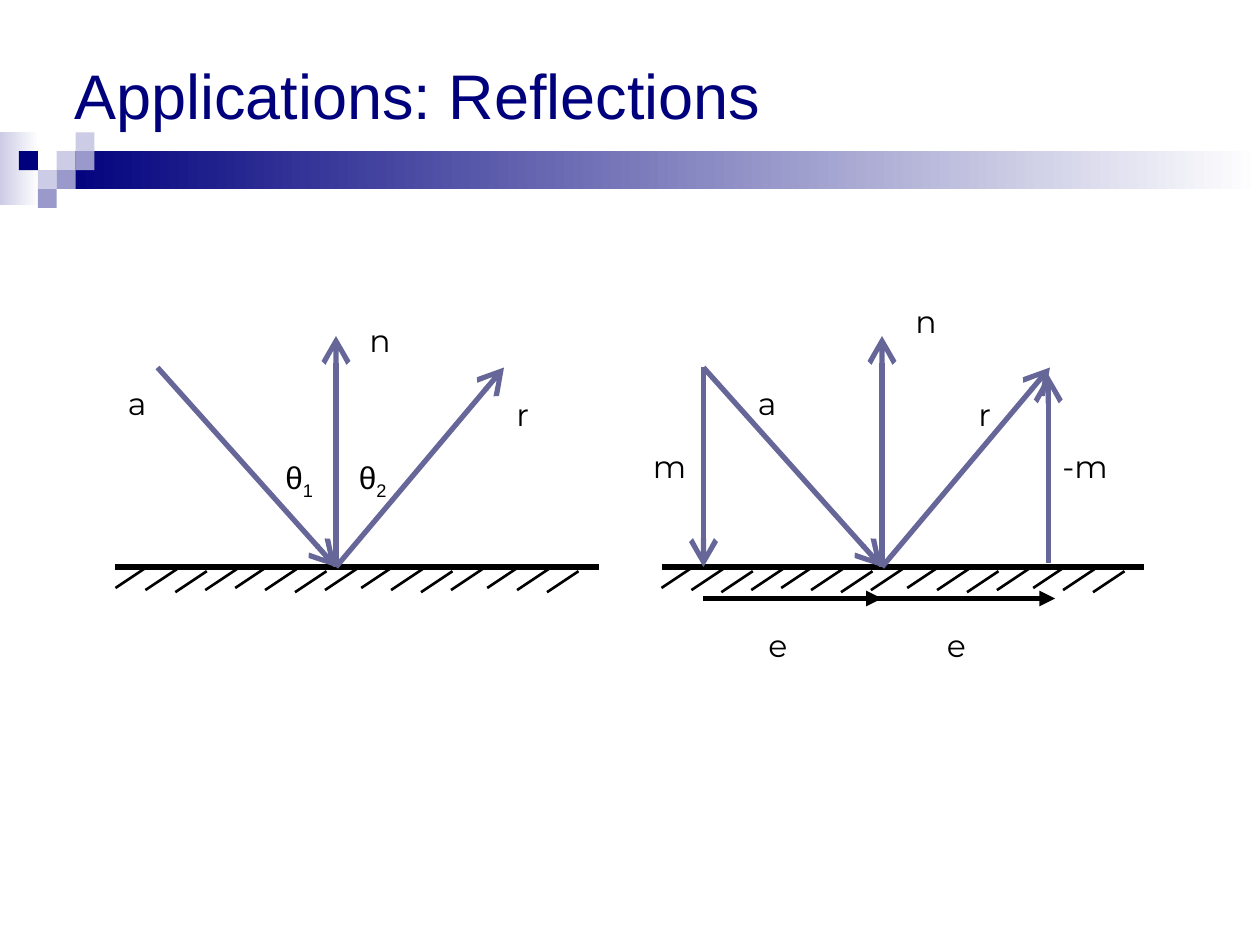
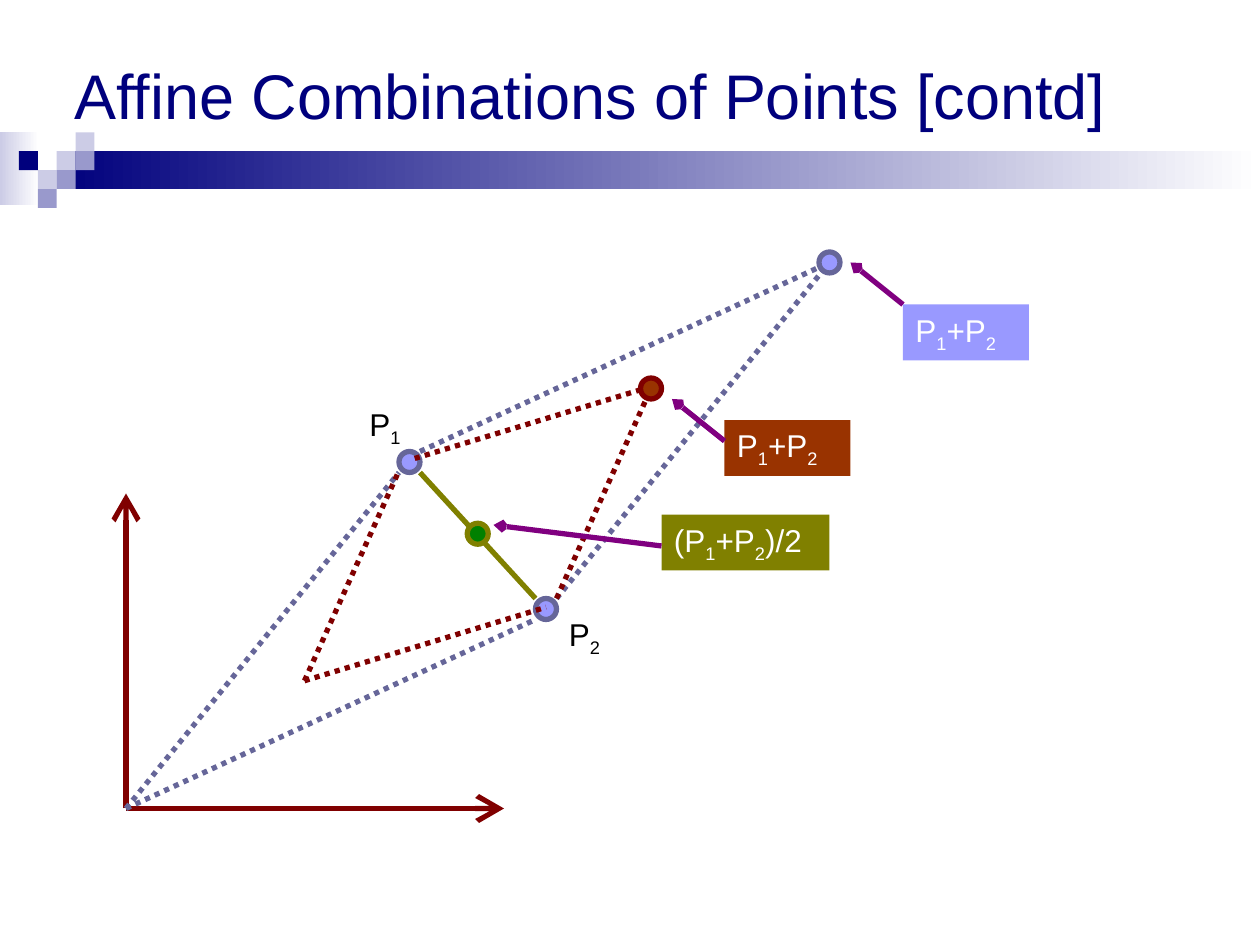
from lxml.etree import SubElement
from pptx import Presentation
from pptx.dml.color import RGBColor
from pptx.enum.dml import MSO_LINE
from pptx.enum.shapes import MSO_CONNECTOR, MSO_SHAPE
from pptx.enum.text import MSO_ANCHOR, MSO_AUTO_SIZE, PP_ALIGN
from pptx.oxml.ns import qn
from pptx.util import Pt

# Shared colours and fonts
NAVY, LAVENDER, MIST = "00007D", "9999CC", "CCCCE6"
SLATE, PERIWINKLE = "666699", "9999FF"
MAROON, RUST, OLIVE, GREEN, PURPLE = "800000", "993300", "808000", "008000", "800080"
BLACK, WHITE = "000000", "FFFFFF"
SANS, ROUND = "Arial", "Montserrat"

# Shared measures, in points
SQUARE = 10.8
SURFACE_Y = 324
DOT = 12
LABEL_H = 32


def rgb(value):
    return RGBColor.from_string(value)


def add_block(s, kind, x, y, w, h, fill, line=None):
    sp = s.shapes.add_shape(kind, Pt(x), Pt(y), Pt(w), Pt(h))
    sp.shadow.inherit = False
    if isinstance(fill, tuple):
        sp.fill.gradient()
        sp.fill.gradient_angle = 0
        for stop, colour in zip(sp.fill.gradient_stops, fill):
            stop.color.rgb = rgb(colour)
    else:
        sp.fill.solid()
        sp.fill.fore_color.rgb = rgb(fill)
    if line:
        sp.line.color.rgb = rgb(line)
        sp.line.width = Pt(3)
    else:
        sp.line.fill.background()
    return sp


def add_line(s, start, end, colour=BLACK, width=3, dotted=False, head=None, size="med"):
    points = [Pt(v) for v in (*start, *end)]
    cx = s.shapes.add_connector(MSO_CONNECTOR.STRAIGHT, *points)
    cx.line.color.rgb = rgb(colour)
    cx.line.width = Pt(width)
    if dotted:
        cx.line.dash_style = MSO_LINE.ROUND_DOT
    sp_pr = cx.element.spPr
    if head:
        SubElement(sp_pr.find(qn("a:ln")), qn("a:tailEnd"), type=head, w=size, len=size)
    SubElement(sp_pr, qn("a:effectLst"))


def add_vector(s, start, end, colour=SLATE):
    add_line(s, start, end, colour, head="arrow", size="lg")


def write_text(sp, text, font, colour):
    """Fill a shape with one line; the character after each _ is a subscript."""
    tf = sp.text_frame
    tf.word_wrap = True
    tf.auto_size = MSO_AUTO_SIZE.SHAPE_TO_FIT_TEXT
    tf.vertical_anchor = MSO_ANCHOR.TOP
    p = tf.paragraphs[0]
    p.alignment = PP_ALIGN.LEFT
    first, *rest = text.split("_")
    pieces = [(first, False)]
    for part in rest:
        pieces += [(part[0], True), (part[1:], False)]
    for piece, is_subscript in pieces:
        if not piece:
            continue
        r = p.add_run()
        r.text = piece
        r.font.name = font
        r.font.size = Pt(18)
        r.font.color.rgb = rgb(colour)
        if is_subscript:
            r._r.get_or_add_rPr().set("baseline", "-25000")


def add_label(s, text, x, y, w=30, h=29, font=ROUND):
    sp = s.shapes.add_textbox(Pt(x), Pt(y), Pt(w), Pt(h))
    write_text(sp, text, font, BLACK)


def add_dot(s, x, y, fill=PERIWINKLE, line=SLATE):
    add_block(s, MSO_SHAPE.OVAL, x, y, DOT, DOT, fill, line)


def add_callout(s, text, x, y, w, fill, start, end):
    sp = add_block(s, MSO_SHAPE.RECTANGLE, x, y, w, LABEL_H, fill)
    write_text(sp, text, SANS, WHITE)
    add_line(s, start, end, PURPLE, head="arrow", size="sm")


def add_band(s, title):
    """Gradient bar and stepped squares, placed behind the title."""
    parts = [(0, 75.6, 22.3, 41.8, (MIST, WHITE)),
             (32.4, 86.4, 687.6, 21.6, (NAVY, WHITE))]
    squares = [(3, 1, MIST), (4, 0, MIST), (4, 1, LAVENDER), (2, 2, MIST),
               (1, 1, NAVY), (3, 2, LAVENDER), (2, 3, LAVENDER)]
    parts += [(col * SQUARE, 75.6 + row * SQUARE, SQUARE, SQUARE, fill)
              for col, row, fill in squares]
    for x, y, w, h, fill in parts:
        sp = add_block(s, MSO_SHAPE.RECTANGLE, x, y, w, h, fill)
        title.element.addprevious(sp.element)


def add_titled_slide(prs, text):
    s = prs.slides.add_slide(prs.slide_layouts[5])
    title = s.shapes.title
    title.left, title.top, title.width, title.height = Pt(35.3), Pt(0), Pt(648), Pt(108)
    tf = title.text_frame
    tf.text = text
    tf.auto_size = MSO_AUTO_SIZE.NONE
    tf.vertical_anchor = MSO_ANCHOR.MIDDLE
    p = tf.paragraphs[0]
    p.alignment = PP_ALIGN.LEFT
    font = p.runs[0].font
    font.name, font.size, font.color.rgb = SANS, Pt(36), rgb(NAVY)
    add_band(s, title)
    return s


def add_reflection(s, left):
    """Hatched surface with incoming ray, normal and reflected ray."""
    add_line(s, (left, SURFACE_Y), (left + 276, SURFACE_Y))
    group_starts = (18, 86.4, 158.4, 230.4)
    drops = (0, 1.2, 2.4, 1.2)
    for i in range(15):
        group, place = divmod(i, 4)
        x = left + group_starts[group] + 17.1 * place
        y = SURFACE_Y + drops[place]
        add_line(s, (x, y), (x - 18, y + 12), width=1.5)
    hit = (left + 126, SURFACE_Y)
    add_vector(s, hit, (left + 126, 192))
    add_vector(s, (left + 24, 210), hit)
    add_vector(s, hit, (left + 222, 210))


def build_reflections(prs):
    s = add_titled_slide(prs, "Applications: Reflections")

    # Right: rays split into components m and e
    left = 378
    add_reflection(s, left)
    add_vector(s, (left + 24, 210), (left + 24, SURFACE_Y))
    add_vector(s, (left + 221, 322), (left + 221, 214))
    for x in (24, 123):
        add_line(s, (left + x, 342), (left + x + 102, 342), head="triangle")
    for text, x, y, w in [("a", 48, 216, 30), ("n", 138, 169, 30), ("r", 174, 222, 30),
                          ("m", -12, 252, 30), ("-m", 222, 252, 48),
                          ("e", 54, 354, 30), ("e", 156, 354, 30)]:
        add_label(s, text, left + x, y, w)

    # Left: equal angles about the normal
    left = 66
    add_reflection(s, left)
    for text, x, y in [("a", 0, 216), ("n", 138, 180), ("r", 222, 222)]:
        add_label(s, text, left + x, y)
    for text, x in [("θ_1", 90), ("θ_2", 132)]:
        add_label(s, text, left + x, 258, 36, LABEL_H, SANS)


def build_affine(prs):
    s = add_titled_slide(prs, "Affine Combinations of Points [contd]")

    # Points and axes
    origin, shifted_origin = (72, 462), (174, 389)
    add_dot(s, 228, 258)
    add_dot(s, 306, 342)
    for end in [(72, 282), (288, 462)]:
        add_vector(s, origin, end, MAROON)

    # Parallelogram from each origin, with its sum point
    for start, end in [(origin, (228, 270)), (origin, (306, 354)),
                       ((318, 342), (474, 150)), ((240, 258), (474, 150))]:
        add_line(s, start, end, SLATE, dotted=True)
    add_dot(s, 468, 144)
    for start, end in [(shifted_origin, (312, 347)), (shifted_origin, (228, 269)),
                       ((318, 342), (372, 222)), ((237, 262), (375, 220))]:
        add_line(s, start, end, MAROON, dotted=True)
    add_dot(s, 366, 216, RUST, MAROON)

    # Segment between the points, and its midpoint
    add_line(s, (240, 270), (306, 342), OLIVE)
    add_label(s, "P_2", 318, 348, 72, LABEL_H, SANS)
    add_label(s, "P_1", 204, 228, 72, LABEL_H, SANS)
    add_dot(s, 267, 299, GREEN, OLIVE)

    # Callouts
    add_callout(s, "P_1+P_2", 414, 240, 72, RUST, (414, 252), (384, 228))
    add_callout(s, "P_1+P_2", 516, 174, 72, PERIWINKLE, (516, 174), (486, 150))
    add_callout(s, "(P_1+P_2)/2", 378, 294, 96, OLIVE, (378, 312), (282, 300))


def main():
    prs = Presentation()
    prs.slide_width, prs.slide_height = Pt(720), Pt(540)
    build_reflections(prs)
    build_affine(prs)
    prs.save("out.pptx")


if __name__ == "__main__":
    main()
